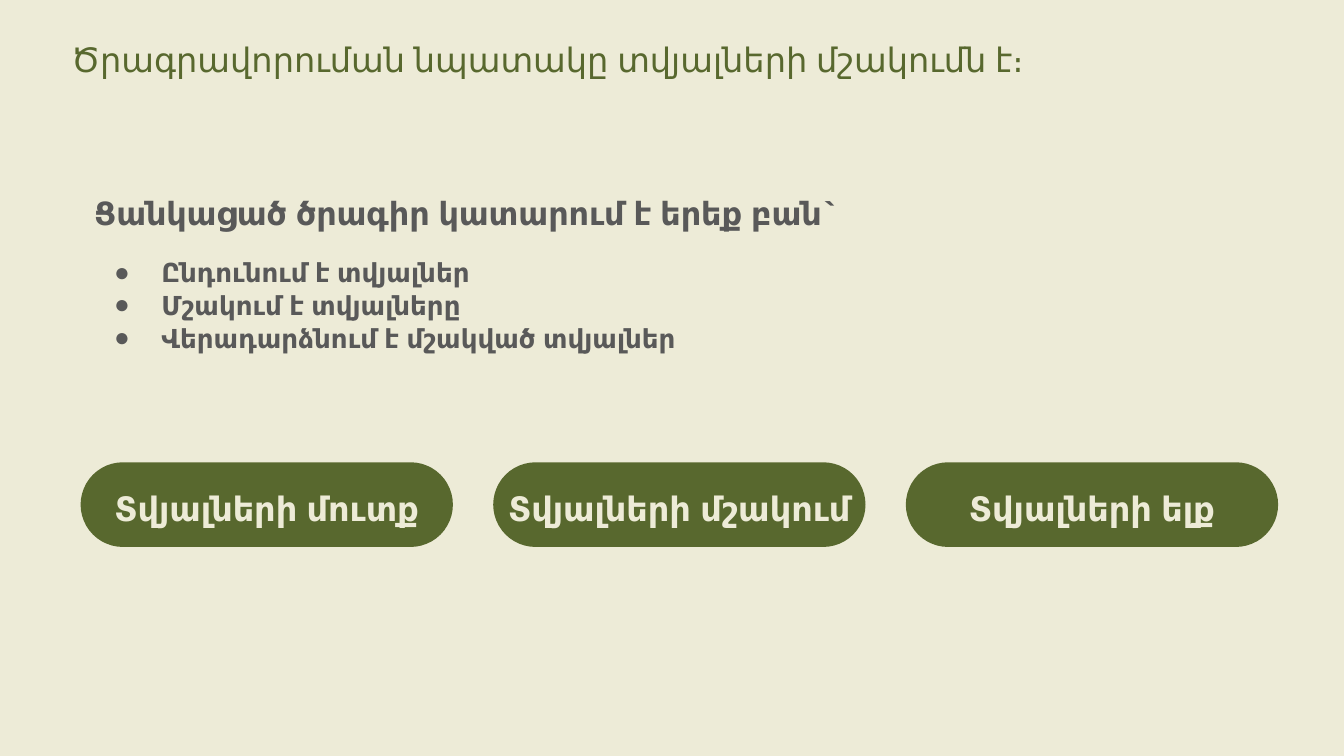
from dataclasses import dataclass

from lxml import etree
from pptx import Presentation
from pptx.dml.color import RGBColor
from pptx.enum.shapes import MSO_SHAPE
from pptx.enum.text import MSO_ANCHOR, MSO_AUTO_SIZE, PP_ALIGN
from pptx.oxml.ns import qn
from pptx.util import Inches, Pt

CREAM = RGBColor(0xED, 0xEB, 0xD7)
GREEN = RGBColor(0x58, 0x68, 0x2E)
GRAY = RGBColor(0x59, 0x59, 0x59)
FONT = "Montserrat"
PILL = MSO_SHAPE.ROUNDED_RECTANGLE
TOP, MIDDLE = MSO_ANCHOR.TOP, MSO_ANCHOR.MIDDLE
LEFT, CENTER = PP_ALIGN.LEFT, PP_ALIGN.CENTER
NO_FIT = MSO_AUTO_SIZE.NONE
SLIDE_W = Inches(10)
SLIDE_H = SLIDE_W * 9 // 16


@dataclass
class Line:
    text: str
    size: float
    color: RGBColor
    bold: bool = True
    bullet: bool = False
    align: PP_ALIGN = LEFT
    spacing: float = 1.05
    before: float = 0
    after: float = 0


TITLE = Line("Ծրագրավորուման նպատակը տվյալների մշակումն է։", 18, GREEN,
             bold=False, spacing=1)
BODY = [
    Line("Ցանկացած ծրագիր կատարում է երեք բան`", 17.1, GRAY),
    Line("Ընդունում է տվյալներ", 14, GRAY, bullet=True, before=12),
    Line("Մշակում է տվյալները", 14, GRAY, bullet=True),
    Line("Վերադարձնում է մշակված տվյալներ", 14, GRAY, bullet=True),
]
STEPS = ["Տվյալների մուտք", "Տվյալների մշակում", "Տվյալների ելք"]
PILL_LEFT, PILL_TOP, PILL_W, PILL_H, PILL_STEP = 0.6, 3.44, 2.77, 0.63, 3.07


def set_all(target, values: dict) -> None:
    for name, value in values.items():
        setattr(target, name, value)


def set_bullet(p, line: Line) -> None:
    pPr = p._p.get_or_add_pPr()
    pPr.set("marL", str(Inches(0.5) if line.bullet else 0))
    pPr.set("indent", str(Inches(-0.35) if line.bullet else 0))
    if line.bullet:
        clr = etree.SubElement(pPr, qn("a:buClr"))
        etree.SubElement(clr, qn("a:srgbClr"), val=str(line.color))
        etree.SubElement(pPr, qn("a:buChar"), char="●")
    else:
        etree.SubElement(pPr, qn("a:buNone"))


def write(tf, lines: list[Line], anchor: MSO_ANCHOR, inset: float, wrap: bool) -> None:
    margins = ("margin_left", "margin_top", "margin_right", "margin_bottom")
    set_all(tf, dict.fromkeys(margins, Inches(inset)))
    set_all(tf, {"auto_size": NO_FIT, "word_wrap": wrap, "vertical_anchor": anchor})
    for i, line in enumerate(lines):
        p = tf.paragraphs[0] if i == 0 else tf.add_paragraph()
        set_bullet(p, line)
        set_all(p, {"alignment": line.align, "line_spacing": line.spacing,
                    "space_before": Pt(line.before), "space_after": Pt(line.after)})
        r = p.add_run()
        r.text = line.text
        set_all(r.font, {"name": FONT, "size": Pt(line.size), "bold": line.bold})
        r.font.color.rgb = line.color


def fill_placeholder(sp, box: tuple, lines: list[Line]) -> None:
    set_all(sp, dict(zip(("left", "top", "width", "height"), map(Inches, box))))
    write(sp.text_frame, lines, TOP, 0.1, True)


def add_pill(s, left: float, text: str) -> None:
    sp = s.shapes.add_shape(PILL, *map(Inches, (left, PILL_TOP, PILL_W, PILL_H)))
    sp.adjustments[0] = 0.5
    sp.shadow.inherit = False
    sp.fill.solid()
    sp.fill.fore_color.rgb = GREEN
    sp.line.fill.background()
    line = Line(text, 18, CREAM, align=CENTER, spacing=1.15, after=12)
    write(sp.text_frame, [line], MIDDLE, 0, False)


def main() -> None:
    prs = Presentation()
    set_all(prs, {"slide_width": SLIDE_W, "slide_height": SLIDE_H})
    s = prs.slides.add_slide(prs.slide_layouts[1])
    s.background.fill.solid()
    s.background.fill.fore_color.rgb = CREAM
    fill_placeholder(s.shapes.title, (0.43, 0.19, 9, 0.63), [TITLE])
    fill_placeholder(s.placeholders[1], (0.6, 1.33, 7.38, 1.42), BODY)
    for i, text in enumerate(STEPS):
        add_pill(s, PILL_LEFT + i * PILL_STEP, text)
    prs.save("out.pptx")


if __name__ == "__main__":
    main()
